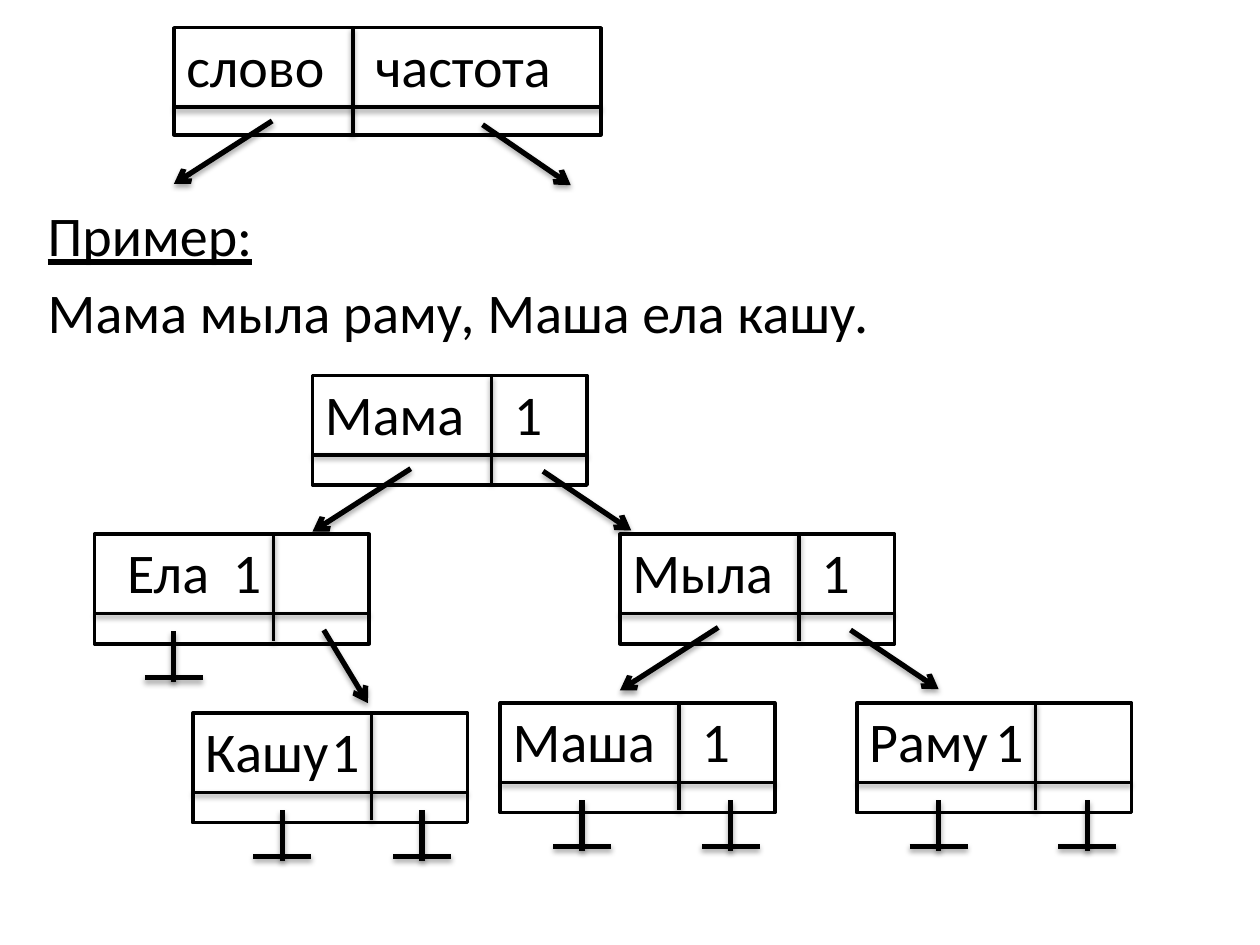
from dataclasses import dataclass

from lxml.etree import SubElement
from pptx import Presentation
from pptx.dml.color import RGBColor
from pptx.enum.shapes import MSO_CONNECTOR as CONNECTOR, MSO_SHAPE as SHAPE
from pptx.enum.text import MSO_ANCHOR as ANCHOR
from pptx.oxml.ns import qn
from pptx.util import Inches, Pt

COLORS = {"ink": "000000", "paper": "FFFFFF"}
FONT = "Calibri"
TEXT_SIZE = 32
SPACE_BEFORE = 5.8
DIVIDER_X, DIVIDER_HEIGHT, RULE_Y = 1.42, 0.85, 0.63
LEFT_ARROW = (0.78, 0.74, 0, 1.24)
RIGHT_ARROW = (1.83, 0.76, 2.53, 1.23)


@dataclass
class Node:
    """A record of the tree; arrows and ends are offsets from its corner."""
    word: str
    count: str
    left: float
    top: float
    tab: float
    arrows: tuple = ()
    ends: tuple = ()
    indent: float = 0
    width: float = 2.18
    height: float = 0.87


NODES = [
    Node("слово", "частота", 1.38, 0.22, 1.49, width=3.39, height=0.85,
         arrows=(LEFT_ARROW, (2.45, 0.77, 3.15, 1.25))),
    Node("Мама", "1", 2.48, 2.98, 1.48, arrows=(LEFT_ARROW, RIGHT_ARROW)),
    Node("Ела", "1", 0.75, 4.24, 1.52, indent=0.16,
         arrows=((1.82, 0.76, 2.17, 1.34),), ends=(0.63,)),
    Node("Мыла", "1", 4.92, 4.24, 1.5, arrows=(LEFT_ARROW, RIGHT_ARROW)),
    Node("Раму", "1", 6.8, 5.58, 1.43, ends=(0.65, 1.83)),
    Node("Маша", "1", 3.97, 5.58, 1.53, ends=(0.65, 1.83)),
    Node("Кашу", "1", 1.53, 5.66, 1.37, ends=(0.71, 1.82)),
]


def color(name):
    return RGBColor.from_string(COLORS[name])


def add_shadow(line, alpha, distance):
    effects = SubElement(line._element.spPr, qn("a:effectLst"))
    shadow = SubElement(effects, qn("a:outerShdw"), blurRad=str(Pt(3.1)),
                        dist=str(Pt(distance)), dir="5400000", rotWithShape="0")
    tint = SubElement(shadow, qn("a:srgbClr"), val=COLORS["ink"])
    SubElement(tint, qn("a:alpha"), val=str(alpha * 1000))


def add_line(page, x1, y1, x2, y2, weight=2, arrow=False):
    line = page.shapes.add_connector(
        CONNECTOR.STRAIGHT, Inches(x1), Inches(y1), Inches(x2), Inches(y2))
    line.line.color.rgb = color("ink")
    line.line.width = Pt(weight)
    if arrow:
        SubElement(line.line._get_or_add_ln(), qn("a:tailEnd"), type="arrow")
    if weight == 2:
        add_shadow(line, 38, 1.6)
    else:
        add_shadow(line, 35, 1.8)


def add_text_box(page, left, top, width, height):
    box = page.shapes.add_textbox(
        Inches(left), Inches(top), Inches(width), Inches(height))
    frame = box.text_frame
    frame.word_wrap = True
    frame.vertical_anchor = ANCHOR.TOP
    return frame


def add_span(para, text, underline=False):
    para.space_before = Pt(SPACE_BEFORE)
    span = para.add_run()
    span.text = text
    span.font.name = FONT
    span.font.size = Pt(TEXT_SIZE)
    span.font.color.rgb = color("ink")
    span.font.underline = underline


def add_example(page, left, top, width, height):
    frame = add_text_box(page, left, top, width, height)
    add_span(frame.paragraphs[0], "Пример:", underline=True)
    add_span(frame.add_paragraph(), "Мама мыла раму, Маша ела кашу.")


def add_label(page, node):
    """Write the word and, at a tab stop, its count."""
    frame = add_text_box(page, node.left, node.top - 0.02, node.width, 0.65)
    para = frame.paragraphs[0]
    add_span(para, f"{node.word}\t{node.count}")
    props = para._p.get_or_add_pPr()
    props.set("marL", "0")
    props.set("indent", str(Inches(node.indent)))
    stops = SubElement(props, qn("a:tabLst"))
    SubElement(stops, qn("a:tab"), pos=str(Inches(node.tab)), algn="l")


def add_end(page, x, y):
    """Mark an empty branch with a stem and a bar."""
    add_line(page, x, y, x, y + 0.4, weight=3)
    add_line(page, x - 0.23, y + 0.37, x + 0.23, y + 0.37, weight=3)


def add_node(page, node):
    left, top = node.left, node.top
    box = page.shapes.add_shape(SHAPE.RECTANGLE, Inches(left), Inches(top),
                                Inches(node.width), Inches(node.height))
    box.shadow.inherit = False
    box.fill.solid()
    box.fill.fore_color.rgb = color("paper")
    box.line.color.rgb = color("ink")
    box.line.width = Pt(2)
    add_label(page, node)
    divider = left + DIVIDER_X
    add_line(page, divider, top, divider, top + DIVIDER_HEIGHT)
    add_line(page, left, top + RULE_Y, left + node.width, top + RULE_Y)
    for x1, y1, x2, y2 in node.arrows:
        add_line(page, left + x1, top + y1, left + x2, top + y2,
                 weight=3, arrow=True)
    for x in node.ends:
        add_end(page, left + x, top + 0.77)


def main():
    deck = Presentation()
    deck.slide_width, deck.slide_height = Inches(10), Inches(7.5)
    page = deck.slides.add_slide(deck.slide_layouts[6])
    add_example(page, 0.28, 1.54, 8.98, 1.42)
    for node in NODES:
        add_node(page, node)
    deck.save("out.pptx")


if __name__ == "__main__":
    main()
